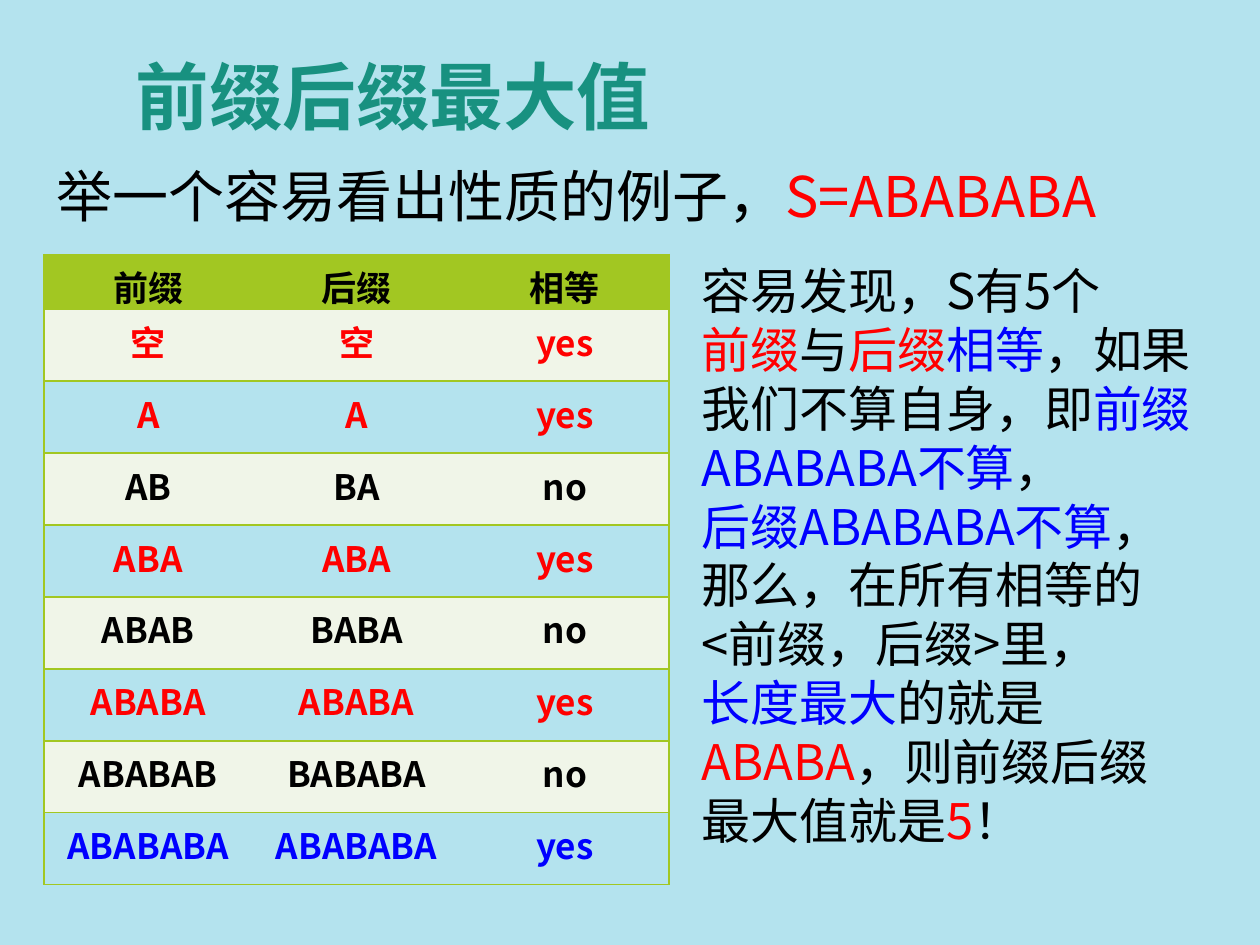
from dataclasses import dataclass

import lxml.etree
import pptx
import pptx.dml.color
import pptx.enum.text
import pptx.oxml.ns
import pptx.util

RGBColor = pptx.dml.color.RGBColor
SKY = RGBColor(0xB4, 0xE3, 0xEE)
TEAL = RGBColor(0x18, 0x91, 0x80)
LIME = RGBColor(0xA2, 0xC7, 0x22)
CREAM = RGBColor(0xF0, 0xF5, 0xE8)
BLACK = RGBColor(0x00, 0x00, 0x00)
RED = RGBColor(0xFF, 0x00, 0x00)
BLUE = RGBColor(0x00, 0x00, 0xFF)

FONT = "Noto Sans CJK SC"
NO_TABLE_STYLE = "{2D5ABB26-0587-4C30-8999-92F81FD0307C}"
GRID_UNIT = pptx.util.Inches(0.1)  # the slide is 100 columns by 75 rows

Line = list[tuple[str, RGBColor]]


@dataclass(frozen=True)
class Area:
    """A rectangle in grid columns and rows."""

    column: float
    row: float
    columns: float
    rows: float

    def emu(self) -> list[int]:
        return [
            round(length * GRID_UNIT)
            for length in (self.column, self.row, self.columns, self.rows)
        ]


@dataclass(frozen=True)
class TextBlock:
    area: Area
    size: int
    lines: list[Line]
    bold: bool = False
    anchor: pptx.enum.text.MSO_ANCHOR = pptx.enum.text.MSO_ANCHOR.TOP


@dataclass(frozen=True)
class Comparison:
    prefix: str
    suffix: str
    equal: str
    color: RGBColor


HEADING = TextBlock(
    Area(9.8, 1.3, 74, 12.5), 42, [[("前缀后缀最大值", TEAL)]],
    bold=True, anchor=pptx.enum.text.MSO_ANCHOR.MIDDLE,
)
EXAMPLE = TextBlock(
    Area(3.5, 12.3, 93.2, 60.6), 32,
    [[("举一个容易看出性质的例子，", BLACK), ("S=ABABABA", RED)]],
)
EXPLANATION = TextBlock(
    Area(54.7, 20.2, 42.5, 57.6), 28,
    [
        [("容易发现，S有5个", BLACK)],
        [
            ("前缀", RED), ("与", BLACK), ("后缀", RED), ("相等", BLUE),
            ("，如果我们不算自身，即", BLACK),
            ("前缀ABABABA不算", BLUE), ("，", BLACK),
        ],
        [("后缀ABABABA不算", BLUE), ("，", BLACK)],
        [("那么，在所有相等的", BLACK)],
        [("<前缀，后缀>里，", BLACK)],
        [
            ("长度最大", BLUE), ("的就是 ", BLACK),
            ("ABABA", RED), ("，则前缀后缀", BLACK),
        ],
        [("最大值就是", BLACK), ("5", RED), ("！", BLACK)],
    ],
)

TABLE_AREA = Area(3.5, 20.2, 49.6, 50)
HEADER_ROWS = 4.3
COMPARISONS = [
    Comparison("前缀", "后缀", "相等", BLACK),
    Comparison("空", "空", "yes", RED),
    Comparison("A", "A", "yes", RED),
    Comparison("AB", "BA", "no", BLACK),
    Comparison("ABA", "ABA", "yes", RED),
    Comparison("ABAB", "BABA", "no", BLACK),
    Comparison("ABABA", "ABABA", "yes", RED),
    Comparison("ABABAB", "BABABA", "no", BLACK),
    Comparison("ABABABA", "ABABABA", "yes", BLUE),
]


def write_line(paragraph, line: Line, size: int, bold: bool) -> None:
    paragraph.font.name = FONT
    paragraph.font.size = pptx.util.Pt(size)
    paragraph.font.bold = bold
    defaults = paragraph.font._element
    lxml.etree.SubElement(defaults, pptx.oxml.ns.qn("a:ea"), typeface=FONT)
    for words, color in line:
        run = paragraph.add_run()
        run.text = words
        run.font.color.rgb = color


def draw_text(slide, block: TextBlock) -> None:
    frame = slide.shapes.add_textbox(*block.area.emu()).text_frame
    frame.word_wrap = True
    frame.vertical_anchor = block.anchor
    for index, line in enumerate(block.lines):
        paragraph = frame.add_paragraph() if index else frame.paragraphs[0]
        write_line(paragraph, line, block.size, block.bold)


def set_borders(cell, sides: list[str]) -> None:
    """Put one-point lime lines on the given sides, ahead of the cell's fill."""
    properties = cell._tc.get_or_add_tcPr()
    for position, side in enumerate(sides):
        border = lxml.etree.Element(
            pptx.oxml.ns.qn(f"a:ln{side}"), w=str(pptx.util.Pt(1))
        )
        fill = lxml.etree.SubElement(border, pptx.oxml.ns.qn("a:solidFill"))
        lxml.etree.SubElement(fill, pptx.oxml.ns.qn("a:srgbClr"), val=str(LIME))
        properties.insert(position, border)


def draw_comparisons(slide) -> None:
    headings = ("prefix", "suffix", "equal")
    table = slide.shapes.add_table(
        len(COMPARISONS), len(headings), *TABLE_AREA.emu()
    ).table
    table._tbl.tblPr.find(pptx.oxml.ns.qn("a:tableStyleId")).text = NO_TABLE_STYLE
    table.horz_banding = False

    for column in table.columns:
        column.width = round(TABLE_AREA.columns * GRID_UNIT / len(headings))
    body_rows = (TABLE_AREA.rows - HEADER_ROWS) / (len(COMPARISONS) - 1)

    for row, comparison in enumerate(COMPARISONS):
        table.rows[row].height = round((body_rows if row else HEADER_ROWS) * GRID_UNIT)
        background = LIME if row == 0 else CREAM if row % 2 else SKY
        for column, heading in enumerate(headings):
            cell = table.cell(row, column)
            cell.fill.solid()
            cell.fill.fore_color.rgb = background
            left = ["L"] if column == 0 else []
            right = ["R"] if column == len(headings) - 1 else []
            set_borders(cell, left + right + ["T", "B"])
            paragraph = cell.text_frame.paragraphs[0]
            paragraph.alignment = pptx.enum.text.PP_ALIGN.CENTER
            line = [(getattr(comparison, heading), comparison.color)]
            write_line(paragraph, line, size=20, bold=True)


def main() -> None:
    presentation = pptx.Presentation()
    presentation.slide_width = 100 * GRID_UNIT
    presentation.slide_height = 75 * GRID_UNIT
    slide = presentation.slides.add_slide(presentation.slide_layouts[6])
    slide.background.fill.solid()
    slide.background.fill.fore_color.rgb = SKY
    for block in (HEADING, EXAMPLE, EXPLANATION):
        draw_text(slide, block)
    draw_comparisons(slide)
    presentation.save("out.pptx")


if __name__ == "__main__":
    main()
